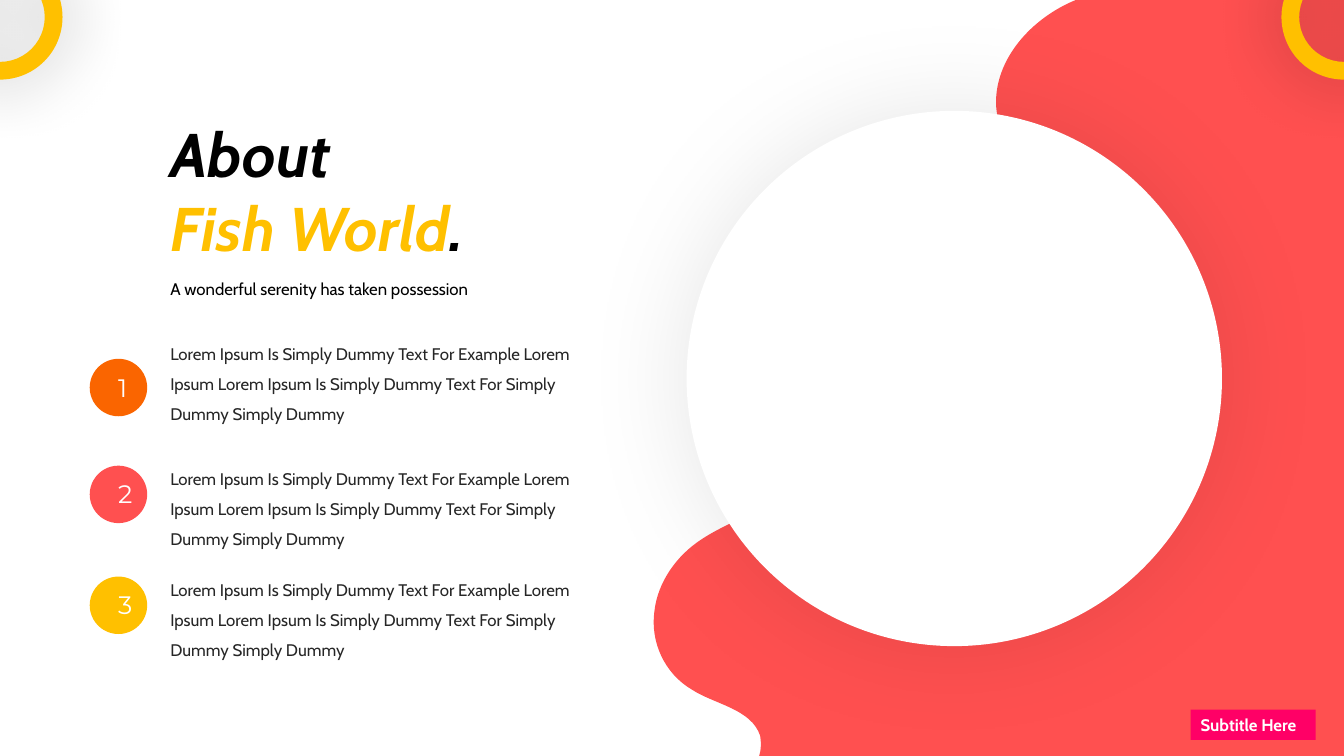
from lxml import etree
from pptx import Presentation
from pptx.dml.color import RGBColor
from pptx.enum.shapes import MSO_SHAPE
from pptx.enum.text import MSO_ANCHOR, MSO_AUTO_SIZE, PP_ALIGN
from pptx.oxml.ns import qn
from pptx.util import Inches, Pt

ELLIPSE, DONUT, RECTANGLE = MSO_SHAPE.OVAL, MSO_SHAPE.DONUT, MSO_SHAPE.RECTANGLE
TOP, MIDDLE = MSO_ANCHOR.TOP, MSO_ANCHOR.MIDDLE
LEFT, CENTER = PP_ALIGN.LEFT, PP_ALIGN.CENTER
NO_AUTOSIZE = MSO_AUTO_SIZE.NONE

COLORS = {
    "white": "FFFFFF",
    "black": "000000",
    "text": "262626",
    "coral": "FF5050",
    "orange": "FA6500",
    "yellow": "FFC000",
    "pink": "FF0066",
}
BODY_FONT = "Cabin"
NUMBER_FONT = "Montserrat"
DUMMY = ("Lorem Ipsum Is Simply Dummy Text For Example Lorem Ipsum "
         "Lorem Ipsum Is Simply Dummy Text For Simply Dummy Simply Dummy")
ITEMS = [
    ("1", "orange", 3.56, 3.26),
    ("2", "coral", 4.62, 4.5),
    ("3", "yellow", 5.72, 5.6),
]
UNITS_PER_INCH = 100
WAVE_START = (7.53, 7.5)
WAVE_CURVES = [
    ((7.55, 7.44), (7.55, 7.37), (7.54, 7.3)),
    ((7.45, 7.03), (7.09, 6.99), (6.86, 6.84)),
    ((6.59, 6.68), (6.45, 6.37), (6.49, 6.07)),
    ((6.52, 5.78), (6.71, 5.51), (6.96, 5.35)),
    ((7.26, 5.15), (7.66, 5.06), (7.81, 4.76)),
    ((7.93, 4.51), (7.83, 4.21), (7.91, 3.95)),
    ((7.99, 3.65), (8.28, 3.44), (8.6, 3.32)),
    ((8.9, 3.2), (9.24, 3.15), (9.54, 3.03)),
    ((9.84, 2.9), (10.14, 2.68), (10.2, 2.38)),
    ((10.31, 1.92), (9.91, 1.5), (9.88, 1.05)),
    ((9.86, 0.59), (10.23, 0.18), (10.67, 0)),
    ((10.89, -0.08), (11.13, -0.12), (11.37, -0.12)),
    ((11.61, -0.12), (11.86, -0.09), (12.09, -0.03)),
]
WAVE_CORNERS = [(12.24, 0), (13.33, 0), (13.33, 7.5)]


def to_units(point):
    return tuple(round(value * UNITS_PER_INCH) for value in point)


class SlideBuilder:
    def __init__(self, deck):
        self.slide = deck.slides.add_slide(deck.slide_layouts[5])
        self.shapes = self.slide.shapes

    def background(self, color):
        fill = self.slide.background.fill
        fill.solid()
        fill.fore_color.rgb = RGBColor.from_string(COLORS[color])

    def paint(self, shape, color):
        shape.shadow.inherit = False
        shape.fill.solid()
        shape.fill.fore_color.rgb = RGBColor.from_string(COLORS[color])
        shape.line.fill.background()
        return shape

    def style(self, span, size, color, font=BODY_FONT, bold=False, italic=False):
        span.font.name = font
        span.font.size = Pt(size)
        span.font.bold = bold
        span.font.italic = italic
        span.font.color.rgb = RGBColor.from_string(COLORS[color])

    def shape(self, kind, left, top, width, height, color, parent=None):
        shapes = parent.shapes if parent else self.shapes
        shape = shapes.add_shape(kind, Inches(left), Inches(top), Inches(width), Inches(height))
        return self.paint(shape, color)

    def shadow(self, shape, opacity, blur):
        effects = shape._element.spPr.find(qn("a:effectLst"))
        outer = etree.SubElement(effects, qn("a:outerShdw"), blurRad=str(Pt(blur)),
                                 dist="0", dir="0", algn="ctr", rotWithShape="0")
        color = etree.SubElement(outer, qn("a:srgbClr"), val=COLORS["black"])
        etree.SubElement(color, qn("a:alpha"), val=str(opacity * 1000))

    def wave(self, color):
        anchors = [to_units(point) for point in
                   [WAVE_START] + [curve[-1] for curve in WAVE_CURVES] + WAVE_CORNERS]
        left, top = (min(values) for values in zip(*anchors))
        builder = self.shapes.build_freeform(*anchors[0], scale=Inches(1) / UNITS_PER_INCH)
        builder.add_line_segments(anchors[1:], close=True)
        wave = self.paint(builder.convert_to_shape(), color)
        segments = list(wave._element.spPr.iter(qn("a:lnTo")))
        for segment, (first, second, end) in zip(segments, WAVE_CURVES):
            segment.tag = qn("a:cubicBezTo")
            for index, control in enumerate((first, second)):
                x, y = to_units(control)
                point = etree.Element(qn("a:pt"), x=str(x - left), y=str(y - top))
                segment.insert(index, point)

    def title(self, lines, left, top, width, height):
        box = self.shapes.title
        box.left, box.top = Inches(left), Inches(top)
        box.width, box.height = Inches(width), Inches(height)
        frame = box.text_frame
        frame.auto_size = NO_AUTOSIZE
        frame.vertical_anchor = TOP
        for index, spans in enumerate(lines):
            para = frame.add_paragraph() if index else frame.paragraphs[0]
            para.alignment = LEFT
            for text, color in spans:
                span = para.add_run()
                span.text = text
                self.style(span, 44, color, bold=True, italic=True)

    def text(self, text, left, top, width, height, color):
        box = self.shapes.add_textbox(Inches(left), Inches(top), Inches(width), Inches(height))
        box.text_frame.word_wrap = True
        box.text_frame.text = text
        para = box.text_frame.paragraphs[0]
        para.line_spacing = 1.5
        self.style(para.runs[0], 12, color)

    def label(self, shape, text, size, alignment, font=BODY_FONT, bold=False):
        frame = shape.text_frame
        frame.word_wrap = True
        frame.vertical_anchor = MIDDLE
        frame.text = text
        para = frame.paragraphs[0]
        para.alignment = alignment
        self.style(para.runs[0], size, "white", font, bold)

    def badge(self, number, color, top):
        group = self.shapes.add_group_shape()
        self.shape(ELLIPSE, 0.89, top, 0.57, 0.57, color, group)
        plate = self.shape(RECTANGLE, 1.08, top + 0.08, 0.19, 0.4, color, group)
        self.label(plate, number, 18, CENTER, NUMBER_FONT)

    def ring(self, left):
        ring = self.shape(DONUT, left, -0.45, 1.24, 1.24, "yellow")
        ring.adjustments[0] = 0.142
        self.shadow(ring, 33, 49)


def main():
    deck = Presentation()
    deck.slide_width, deck.slide_height = Inches(13.33), Inches(7.5)
    page = SlideBuilder(deck)
    page.background("white")
    page.wave("coral")
    disc = page.shape(ELLIPSE, 6.81, 1.1, 5.31, 5.31, "white")
    page.shadow(disc, 9, 77)
    page.title([[("About", "black")], [("Fish World", "yellow"), (".", "black")]],
               1.59, 1.1, 5.22, 1.58)
    page.text("A wonderful serenity has taken possession", 1.59, 2.62, 4.42, 0.37, "black")
    for number, color, badge_top, text_top in ITEMS:
        page.badge(number, color, badge_top)
        page.text(DUMMY, 1.59, text_top, 4.28, 0.97, "text")
    tag = page.shape(RECTANGLE, 11.81, 7.04, 1.24, 0.3, "pink")
    page.label(tag, "Subtitle Here", 12, LEFT, bold=True)
    for left in (-0.62, 12.71):
        page.ring(left)
    deck.save("out.pptx")


if __name__ == "__main__":
    main()
